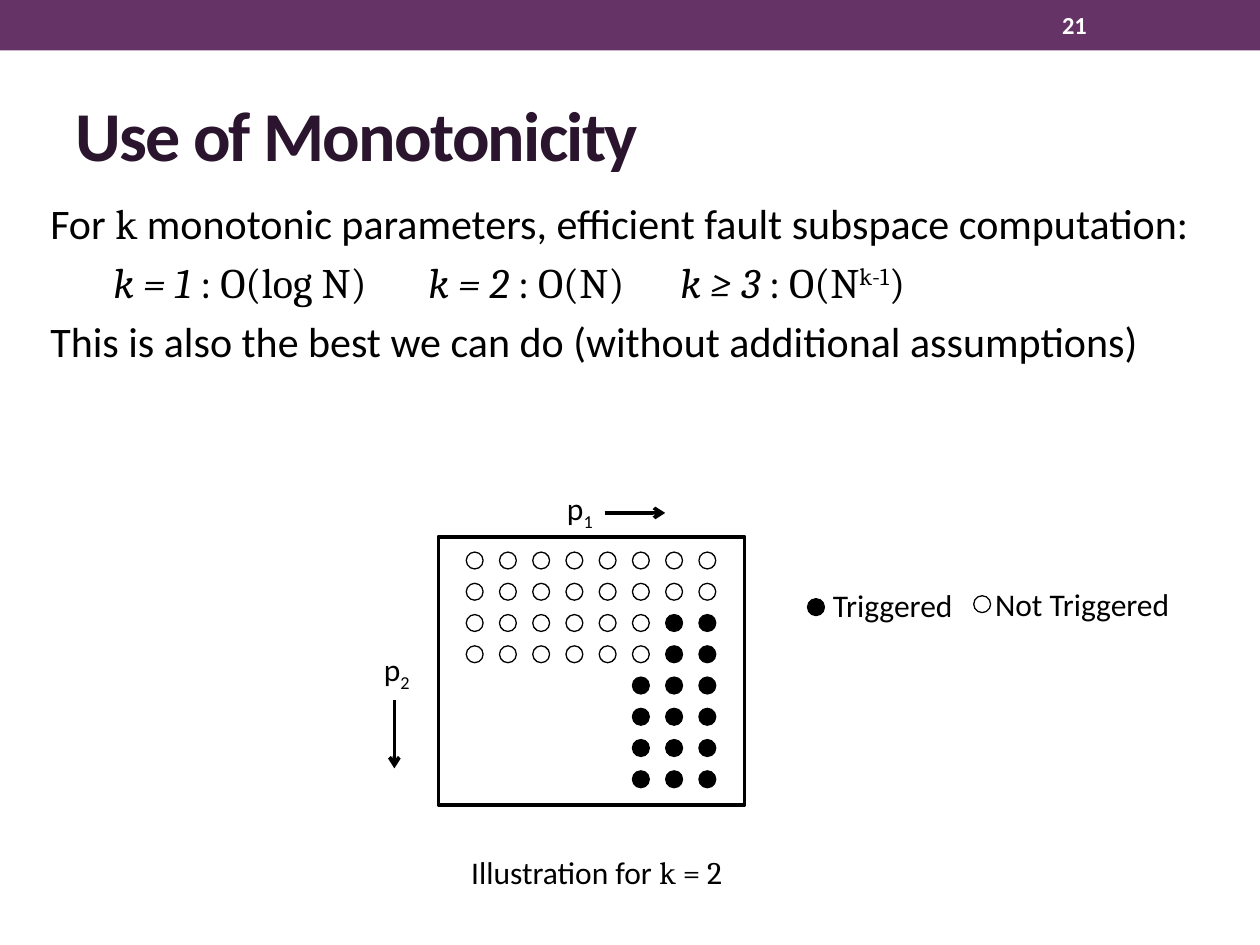
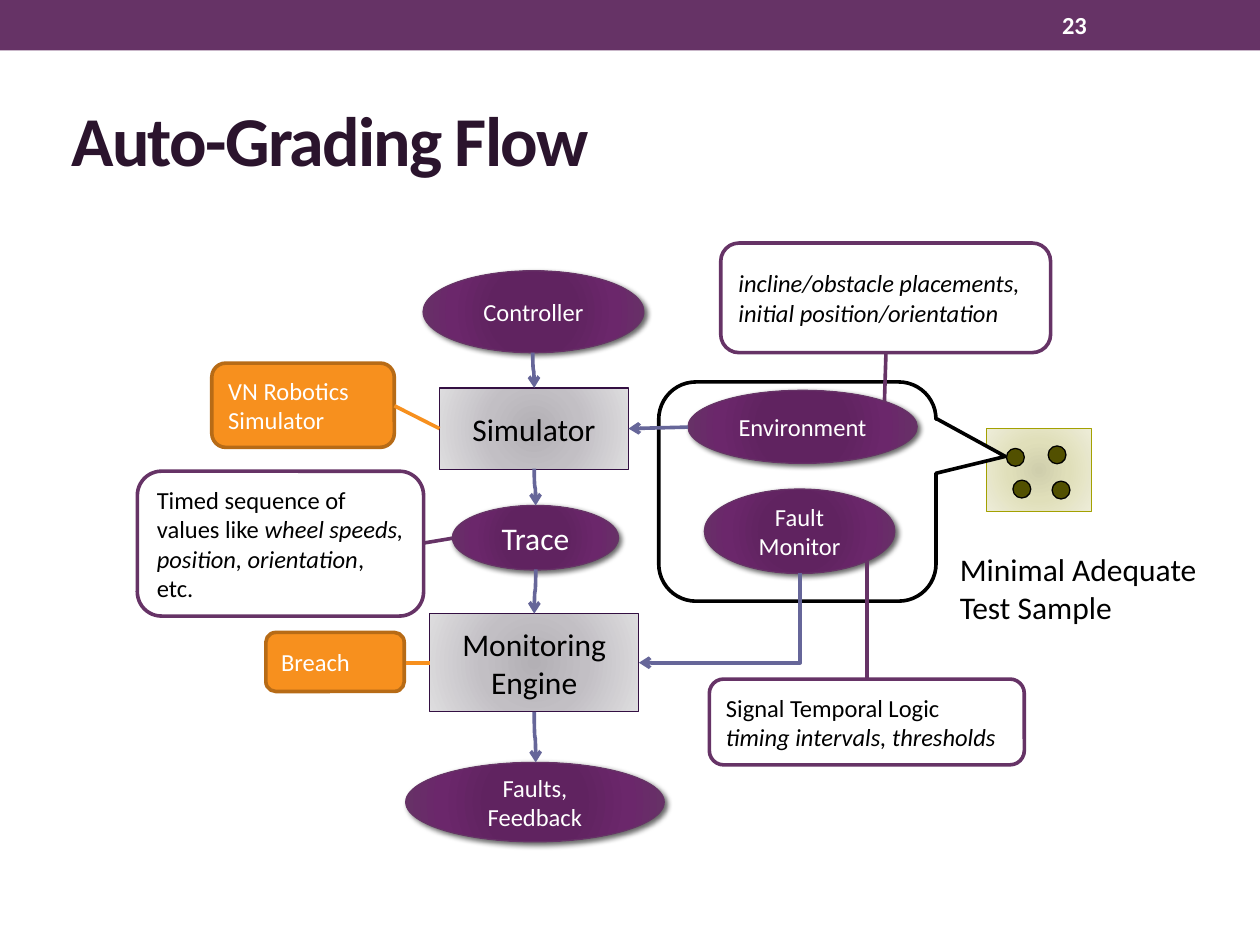
from dataclasses import dataclass

from lxml import etree
from pptx import Presentation
from pptx import util as u
from pptx.dml.color import RGBColor
from pptx.enum import shapes, text
from pptx.oxml import parse_xml
from pptx.oxml.ns import nsdecls, qn

Cm, Pt = u.Cm, u.Pt
SHAPE, CONN = shapes.MSO_SHAPE, shapes.MSO_CONNECTOR
LEFT, CENTER = text.PP_ALIGN.LEFT, text.PP_ALIGN.CENTER
TOP, MIDDLE = text.MSO_ANCHOR.TOP, text.MSO_ANCHOR.MIDDLE


@dataclass(frozen=True)
class Theme:
    # Type
    sans: str = "Calibri"
    serif: str = "Cambria"
    title: int = 40
    body: int = 24
    label: int = 18
    small: int = 14
    # Lines
    thin: float = 0.75
    thick: float = 2.08
    # Colours
    purple: str = "663366"
    heading: str = "2B142D"
    arrow: str = "666699"
    orange: str = "F7901E"
    rust: str = "B76B16"
    black: str = "000000"
    white: str = "FFFFFF"
    olive: str = "525000"
    olive_edge: str = "A3A101"
    block_edge: str = "330F42"
    # Radial fills: (position in percent, colour)
    plum: tuple = ((0, "622162"), (34, "602360"), (70, "6B276B"), (100, "663366"))
    grey: tuple = ((0, "B3B0B5"), (45, "C2BFC4"), (100, "DEDDDF"))
    sand: tuple = ((0, "CFCEAC"), (45, "E0DFBA"), (100, "EEEDD9"))


T = Theme()


def rgb(value):
    return RGBColor.from_string(value)


# ---- Text ----
def write(tf, paragraphs, size=T.small, color=T.black, font=T.sans, bold=None,
          italic=None, align=LEFT, anchor=MIDDLE, wrap=True, gap=0,
          spacing=None, tabs=()):
    """Fill a frame; a paragraph is a string or a list of strings and (string, format) pairs."""
    tf.word_wrap, tf.vertical_anchor = wrap, anchor
    tf.auto_size = text.MSO_AUTO_SIZE.NONE
    for i, items in enumerate(paragraphs):
        p = tf.paragraphs[0] if i == 0 else tf.add_paragraph()
        plain(p, tabs)
        p.alignment = align
        p.space_before = Pt(gap if i else 0)
        for item in [items] if isinstance(items, str) else items:
            words, fmt = (item, {}) if isinstance(item, str) else item
            r = p.add_run()
            r.text = words
            f = r.font
            f.size, f.name, f.bold = Pt(size), fmt.get("font", font), bold
            f.italic = fmt.get("italic", italic)
            f.color.rgb = rgb(color)
            rPr = r._r.get_or_add_rPr()
            if spacing:
                rPr.set("spc", str(spacing * 100))
            if "base" in fmt:
                rPr.set("baseline", str(fmt["base"] * 1000))


def plain(p, tabs):
    """Drop bullet and indent, and set the tab stops."""
    pPr = p._p.get_or_add_pPr()
    pPr.set("marL", "0")
    pPr.set("indent", "0")
    etree.SubElement(pPr, qn("a:buNone"))
    if tabs:
        stops = etree.SubElement(pPr, qn("a:tabLst"))
        for pos in tabs:
            etree.SubElement(stops, qn("a:tab"), pos=str(Cm(pos)), algn="l")


def label(s, x, y, w, h, *paragraphs, **fmt):
    tf = s.shapes.add_textbox(Cm(x), Cm(y), Cm(w), Cm(h)).text_frame
    write(tf, paragraphs, **{"size": T.label, "anchor": TOP, **fmt})


def place(sp, x, y, w, h):
    sp.left, sp.top, sp.width, sp.height = Cm(x), Cm(y), Cm(w), Cm(h)


# ---- Shapes and lines ----
def shape(s, kind, x, y, w, h, fill, line=None, width=T.thin, shadow=False):
    sp = s.shapes.add_shape(kind, Cm(x), Cm(y), Cm(w), Cm(h))
    sp.shadow.inherit = False
    if isinstance(fill, tuple):
        radial(sp, fill)
    else:
        sp.fill.solid()
        sp.fill.fore_color.rgb = rgb(fill)
    if line:
        sp.line.color.rgb, sp.line.width = rgb(line), Pt(width)
    else:
        sp.line.fill.background()
    if shadow:
        sp._element.spPr.find(qn("a:effectLst")).append(parse_xml(
            f'<a:outerShdw {nsdecls("a")} blurRad="{Pt(3)}" dist="{Pt(2)}" dir="2700000">'
            f'<a:srgbClr val="{T.black}"><a:alpha val="60000"/></a:srgbClr></a:outerShdw>'))
    return sp


def radial(sp, stops):
    gs = "".join(f'<a:gs pos="{pos * 1000}"><a:srgbClr val="{c}"/></a:gs>' for pos, c in stops)
    sp._element.spPr.insert(2, parse_xml(
        f'<a:gradFill {nsdecls("a")} rotWithShape="1"><a:gsLst>{gs}</a:gsLst><a:path path="circle">'
        '<a:fillToRect l="100000" t="100000" r="100000" b="100000"/></a:path></a:gradFill>'))


def dot(s, x, y, fill, size=0.34):
    shape(s, SHAPE.OVAL, x, y, size, size, fill, T.black)


def link(s, x1, y1, x2, y2, color, arrow=False, kind=CONN.STRAIGHT):
    cx = s.shapes.add_connector(kind, Cm(x1), Cm(y1), Cm(x2), Cm(y2))
    cx.line.color.rgb, cx.line.width = rgb(color), Pt(T.thick)
    if arrow:
        etree.SubElement(cx.line._get_or_add_ln(), qn("a:tailEnd"), type="arrow")
    etree.SubElement(cx._element.spPr, qn("a:effectLst"))
    return cx


def down_link(s, x1, y1, x2, y2, kind=CONN.CURVE, preset="curvedConnector3"):
    """Arrow that leaves downwards: a connector turned by a quarter."""
    cx = link(s, x1, y1, x2, y2, T.arrow, True, kind)
    w, h = y2 - y1, abs(x2 - x1)
    place(cx, (x1 + x2 - w) / 2, (y1 + y2 - h) / 2, w, h)
    spPr = cx._element.spPr
    spPr.find(qn("a:prstGeom")).set("prst", preset)
    xfrm = spPr.find(qn("a:xfrm"))
    xfrm.set("rot", str((270 if x2 > x1 else 90) * 60000))
    xfrm.set("flipH", "1" if x2 > x1 else "0")


# ---- Diagram nodes ----
def oval(s, x, y, w, h, *paragraphs, size=T.small):
    sp = shape(s, SHAPE.OVAL, x, y, w, h, T.plum, T.purple, shadow=True)
    write(sp.text_frame, paragraphs, size=size, color=T.white, align=CENTER)


def block(s, x, y, w, h, name):
    sp = shape(s, SHAPE.RECTANGLE, x, y, w, h, T.grey, T.block_edge)
    write(sp.text_frame, [name], size=T.label, align=CENTER)


def note(s, x, y, w, h, *paragraphs, fill=T.white, line=T.purple, **fmt):
    sp = shape(s, SHAPE.ROUNDED_RECTANGLE, x, y, w, h, fill, line, T.thick)
    write(sp.text_frame, paragraphs, **fmt)


def tool(s, x, y, w, h, name):
    note(s, x, y, w, h, name, fill=T.orange, line=T.rust, color=T.white)


# ---- Slides ----
def new_slide(prs, layout, title, x, y, number):
    s = prs.slides.add_slide(prs.slide_layouts[layout])
    place(s.shapes.title, x, y, 22.86, 2.74)
    write(s.shapes.title.text_frame, [title], size=T.title, color=T.heading,
          bold=True, spacing=-1)
    label(s, 21.16, 0.05, 2.97, 0.91, number, size=T.small, color=T.white,
          bold=True, anchor=MIDDLE)
    return s


def add_band(prs, s):
    """Draw the top band and move it to the slide master."""
    band = shape(s, SHAPE.RECTANGLE, 0, 0, 25.4, 1.02, T.purple)
    prs.slide_master.shapes._spTree.insert(2, band._element)


def monotonicity(prs):
    s = new_slide(prs, 1, "Use of Monotonicity", 1.27, 1.32, "21")
    add_band(prs, s)

    # Statement
    serif, it = {"font": T.serif}, {"font": T.serif, "italic": True}
    body = s.placeholders[1]
    place(body, 0.76, 3.86, 23.7, 5.54)
    write(body.text_frame, [
        ["For ", ("k", serif), " monotonic parameters, efficient fault subspace computation:"],
        [("\tk = 1 ", it), (": O(log N)", serif),
         ("\tk = 2", it), (" : O(N)", serif),
         ("\tk ≥ 3 ", it), (": O(N", serif), ("k-1", {**serif, "base": 30}), (")", serif)],
        "This is also the best we can do (without additional assumptions)",
    ], size=T.body, anchor=TOP, gap=4.8, tabs=(3.96, 10.01, 14.71))

    # Grid of samples: o not triggered, * triggered
    shape(s, SHAPE.RECTANGLE, 8.84, 10.82, 6.17, 5.41, T.white, T.black, T.thick)
    fills = {"o": T.white, "*": T.black}
    rows = ["oooooooo"] * 2 + ["oooooo**"] * 2 + ["-----***"] * 4
    for i, row in enumerate(rows):
        for j, mark in enumerate(row):
            if mark in fills:
                dot(s, 9.4 + 0.67 * j, 11.13 + 0.63 * i, fills[mark])

    # Axes
    for x, y, index in ((11.18, 9.73, "1"), (7.49, 12.98, "2")):
        label(s, x, y, 1.09, 1.02, ["p", (index, {"base": -25})], wrap=False)
    link(s, 12.19, 10.34, 13.41, 10.34, T.black, arrow=True)
    link(s, 7.95, 14.12, 7.95, 15.49, T.black, arrow=True)

    # Caption and legend
    label(s, 9.25, 17.07, 5.72, 1.02, ["Illustration for ", ("k = 2", serif)], wrap=False)
    label(s, 16.54, 11.68, 3.07, 1.02, "Triggered", wrap=False)
    label(s, 19.81, 11.66, 4.17, 1.02, "Not Triggered", wrap=False)
    dot(s, 16.28, 12.07, T.black)
    dot(s, 19.63, 12.01, T.white)


def grading_flow(prs):
    s = new_slide(prs, 5, "Auto-Grading Flow", 1.19, 1.42, "23")
    it = {"italic": True}

    # Test sample and its callout
    shape(s, SHAPE.RECTANGLE, 19.89, 8.64, 2.11, 1.68, T.sand, T.olive_edge)
    for x, y in ((20.29, 9.04), (20.42, 9.68), (21.13, 8.99), (21.21, 9.7)):
        dot(s, x, y, T.olive, 0.36)
    callout = shape(s, SHAPE.ROUNDED_RECTANGULAR_CALLOUT, 13.28, 7.7, 5.59, 4.42,
                    T.white, T.black, T.thick)
    for i, value in enumerate((0.75, -0.16, 0.17)):
        callout.adjustments[i] = value
    label(s, 19.1, 10.97, 6.3, 1.8, "Minimal Adequate Test Sample")

    # Main flow and inputs
    oval(s, 8.53, 5.46, 4.45, 1.65, "Controller")
    block(s, 8.86, 7.82, 3.81, 1.65, "Simulator")
    oval(s, 9.12, 10.19, 3.35, 1.3, "Trace", size=T.label)
    block(s, 8.66, 12.37, 4.22, 1.98, "Monitoring Engine")
    oval(s, 8.18, 15.37, 5.21, 1.6, "Faults, Feedback")
    oval(s, 13.87, 7.87, 4.62, 1.47, "Environment")
    oval(s, 14.2, 9.86, 3.84, 1.7, "Fault", "Monitor")

    # Notes and tools
    note(s, 14.53, 4.9, 6.65, 2.21, "incline/obstacle placements,",
         "initial position/orientation", italic=True)
    note(s, 14.3, 13.69, 6.35, 1.73, "Signal Temporal Logic",
         [("timing intervals, thresholds", it)])
    note(s, 2.77, 9.5, 5.77, 2.92,
         ["Timed sequence of values like ", ("wheel speeds, position, orientation", it), ", etc."])
    tool(s, 4.27, 7.32, 3.68, 1.7, "VN Robotics Simulator")
    tool(s, 5.36, 12.75, 2.79, 1.19, "Breach")

    # Flow arrows
    for ends in ((10.74, 7.11, 10.77, 7.82), (10.77, 9.45, 10.8, 10.19),
                 (10.8, 11.48, 10.77, 12.37), (10.77, 14.35, 10.8, 15.37)):
        down_link(s, *ends)
    down_link(s, 16.13, 11.56, 12.88, 13.36, CONN.ELBOW, "bentConnector2")
    link(s, 13.87, 8.61, 12.67, 8.64, T.arrow, arrow=True)

    # Lines to notes and tools
    for *ends, color in ((8.53, 10.95, 9.12, 10.85, T.purple),
                         (17.86, 7.11, 17.83, 8.1, T.purple),
                         (17.48, 11.3, 17.48, 13.69, T.purple),
                         (7.95, 8.18, 8.86, 8.64, T.orange),
                         (8.18, 13.36, 8.66, 13.36, T.orange)):
        link(s, *ends, color)


def main():
    prs = Presentation()
    prs.slide_width, prs.slide_height = Cm(25.4), Cm(19.05)
    monotonicity(prs)
    grading_flow(prs)
    prs.save("out.pptx")


if __name__ == "__main__":
    main()
